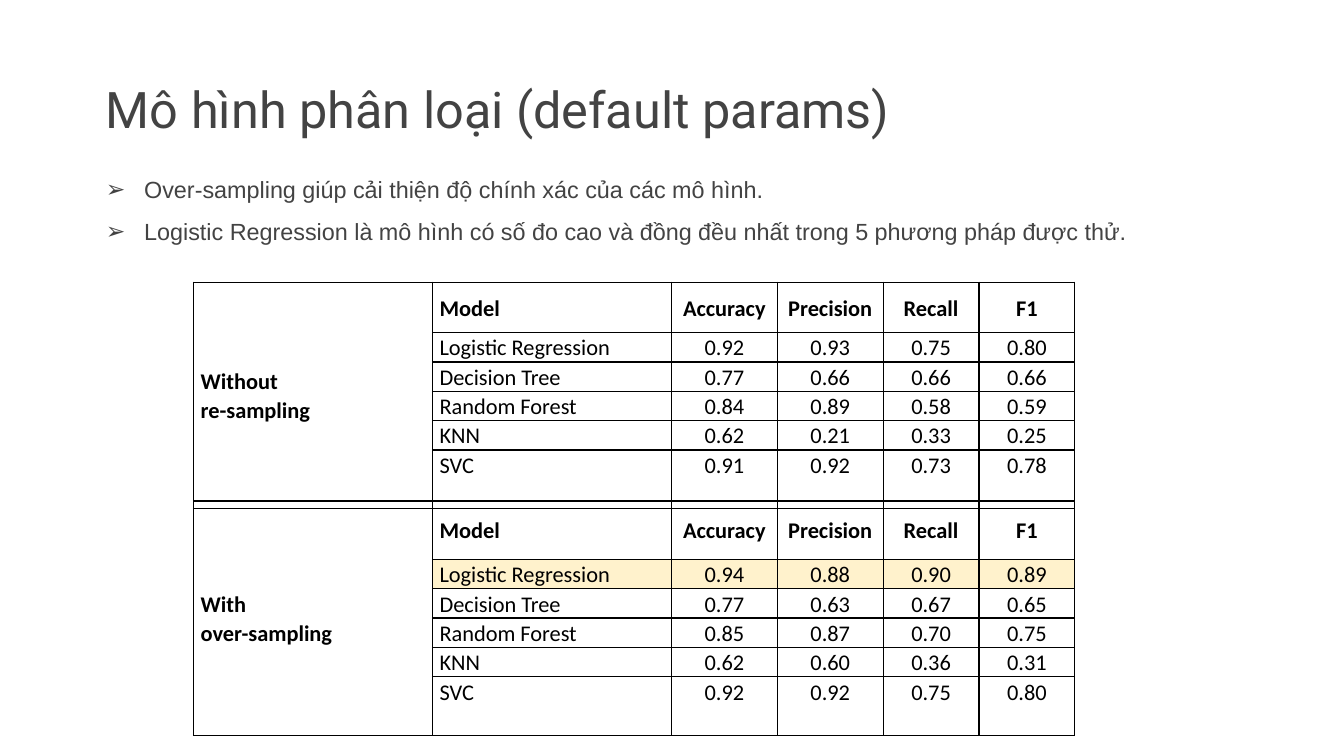
from lxml import etree
from pptx import Presentation
from pptx import util as u
from pptx.dml.color import RGBColor
from pptx.enum import text
from pptx.oxml import ns

INK, BLACK, HIGHLIGHT = "434343", "000000", "FFF2CC"
COLUMNS = [2.37, 2.37, 1.05, 1.05, 0.95, 0.95]
HEADINGS = ["Model", "Accuracy", "Precision", "Recall", "F1"]
WITHOUT = [
    ["Logistic Regression", "0.92", "0.93", "0.75", "0.80"],
    ["Decision Tree", "0.77", "0.66", "0.66", "0.66"],
    ["Random Forest", "0.84", "0.89", "0.58", "0.59"],
    ["KNN", "0.62", "0.21", "0.33", "0.25"],
    ["SVC", "0.91", "0.92", "0.73", "0.78"],
]
WITH = [
    ["Logistic Regression", "0.94", "0.88", "0.90", "0.89"],
    ["Decision Tree", "0.77", "0.63", "0.67", "0.65"],
    ["Random Forest", "0.85", "0.87", "0.70", "0.75"],
    ["KNN", "0.62", "0.60", "0.36", "0.31"],
    ["SVC", "0.92", "0.92", "0.75", "0.80"],
]


def colour(value):
    return RGBColor.from_string(value)


def add_span(para, words, font, size, ink, bold=False):
    span = para.add_run()
    span.text = words
    span.font.name, span.font.size, span.font.bold = font, u.Pt(size), bold
    span.font.color.rgb = colour(ink)


def place(holder, box):
    """Move a placeholder to its box and clear its insets."""
    holder.left, holder.top, holder.width, holder.height = map(u.Inches, box)
    frame = holder.text_frame
    frame.margin_left = frame.margin_top = frame.margin_right = frame.margin_bottom = 0
    frame.vertical_anchor = text.MSO_ANCHOR.MIDDLE
    frame.auto_size = text.MSO_AUTO_SIZE.NONE
    frame.word_wrap = True
    return frame


def fill_title(page, box, words):
    para = place(page.shapes.title, box).paragraphs[0]
    para.alignment = text.PP_ALIGN.LEFT
    add_span(para, words, "Roboto", 36, INK)


def add_bullet(para, mark):
    props = para._p.get_or_add_pPr()
    props.set("marL", str(u.Inches(0.38)))
    props.set("indent", str(-u.Inches(0.38)))
    tint = etree.SubElement(props, ns.qn("a:buClr"))
    etree.SubElement(tint, ns.qn("a:srgbClr"), val=INK)
    etree.SubElement(props, ns.qn("a:buChar"), char=mark)


def fill_bullets(page, box, lines):
    frame = place(page.placeholders[1], box)
    for i, line in enumerate(lines):
        para = frame.add_paragraph() if i else frame.paragraphs[0]
        add_bullet(para, "➢")
        para.line_spacing = 1.5
        para.space_before = u.Pt(0)
        add_span(para, line, "Arial", 16.7, INK)


def style_cell(cell, fill=None):
    """Give a cell its insets, four black borders and its fill."""
    cell.margin_left = cell.margin_right = u.Inches(0.07)
    cell.margin_top = cell.margin_bottom = 0
    props = cell._tc.get_or_add_tcPr()
    for side in ("lnL", "lnR", "lnT", "lnB"):
        line = etree.SubElement(props, ns.qn("a:" + side), w=str(u.Pt(1)))
        solid = etree.SubElement(line, ns.qn("a:solidFill"))
        etree.SubElement(solid, ns.qn("a:srgbClr"), val=BLACK)
    if fill:
        cell.fill.solid()
        cell.fill.fore_color.rgb = colour(fill)
    else:
        cell.fill.background()


def write_cell(cell, lines, bold, centred):
    cell.vertical_anchor = text.MSO_ANCHOR.MIDDLE if bold else text.MSO_ANCHOR.TOP
    for i, line in enumerate(lines):
        para = cell.text_frame.add_paragraph() if i else cell.text_frame.paragraphs[0]
        para.alignment = text.PP_ALIGN.CENTER if centred else text.PP_ALIGN.LEFT
        para.line_spacing = 1.07
        add_span(para, line, "Calibri", 16, BLACK, bold)


def add_scores(page, left, top, row_height, label, scores, best=None):
    """Score table: merged label column, heading row twice as tall as the rest."""
    rows = [HEADINGS] + scores
    heights = [2 * row_height] + [row_height] * len(scores)
    table = page.shapes.add_table(
        len(rows), len(COLUMNS), u.Inches(left), u.Inches(top),
        u.Inches(sum(COLUMNS)), u.Inches(sum(heights))).table
    table.first_row = table.horz_banding = False
    for column, width in zip(table.columns, COLUMNS):
        column.width = u.Inches(width)
    for r, values in enumerate(rows):
        table.rows[r].height = u.Inches(heights[r])
        style_cell(table.cell(r, 0))
        for c, value in enumerate(values, 1):
            cell = table.cell(r, c)
            style_cell(cell, HIGHLIGHT if r == best else None)
            write_cell(cell, [value], bold=r == 0, centred=c > 1)
    table.cell(0, 0).merge(table.cell(len(scores), 0))
    write_cell(table.cell(0, 0), label, bold=True, centred=False)


def main():
    deck = Presentation()
    deck.slide_width, deck.slide_height = u.Inches(13.33), u.Inches(7.5)
    page = deck.slides.add_slide(deck.slide_layouts[1])

    # Heading and findings
    fill_title(page, (1.05, 0.65, 9.71, 0.84), "Mô hình phân loại (default params)")
    fill_bullets(page, (1.05, 1.59, 10.73, 0.85), [
        "Over-sampling giúp cải thiện độ chính xác của các mô hình.",
        "Logistic Regression là mô hình có số đo cao và đồng đều nhất "
        "trong 5 phương pháp được thử.",
    ])

    # Scores before and after over-sampling
    add_scores(page, 1.92, 2.8, 0.25, ["Without", "re-sampling"], WITHOUT)
    add_scores(page, 1.92, 4.97, 0.29, ["With", "over-sampling"], WITH, best=1)
    deck.save("out.pptx")


if __name__ == "__main__":
    main()
